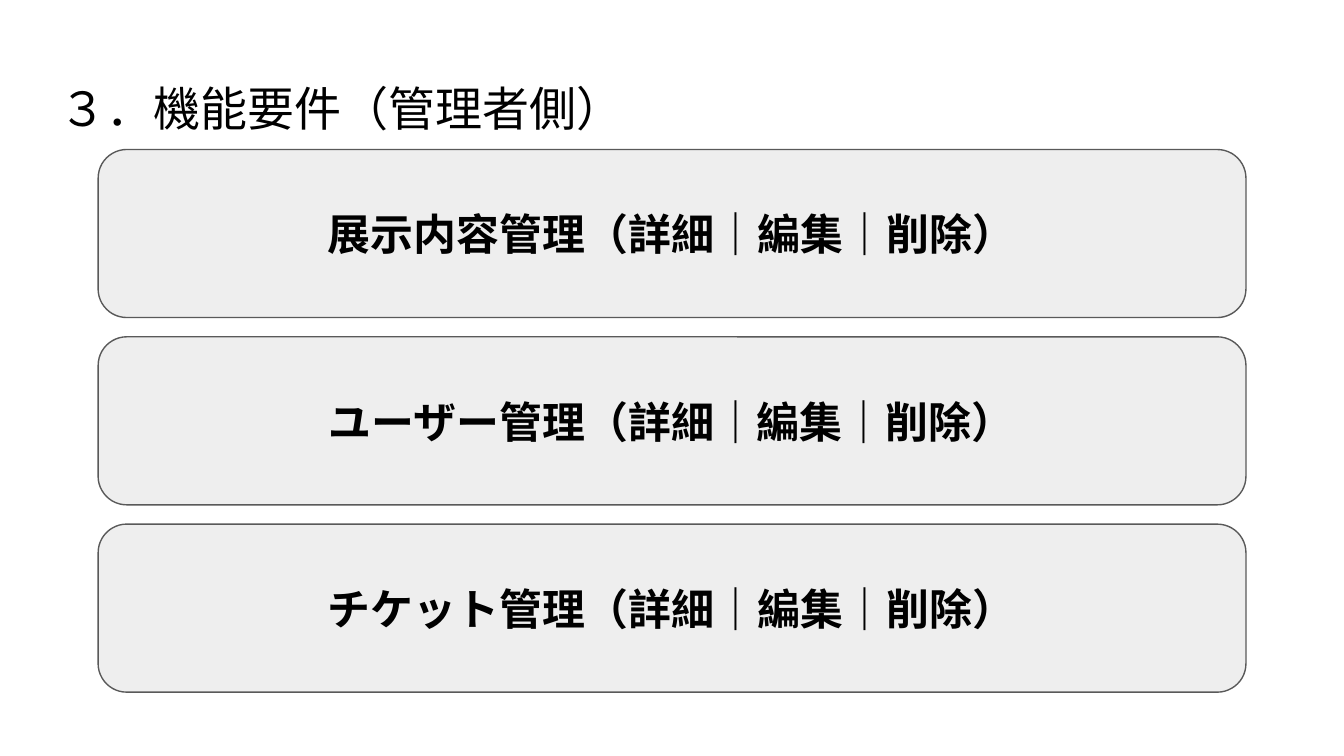
from dataclasses import dataclass

from pptx import Presentation
from pptx.dml.color import RGBColor
from pptx.enum.shapes import MSO_SHAPE
from pptx.enum.text import MSO_ANCHOR, MSO_AUTO_SIZE, PP_ALIGN
from pptx.slide import Slide
from pptx.text.text import TextFrame
from pptx.util import Pt

BLACK = RGBColor(0x00, 0x00, 0x00)
LIGHT_GRAY = RGBColor(0xEE, 0xEE, 0xEE)
DARK_GRAY = RGBColor(0x59, 0x59, 0x59)
FONT = "Arial"
INSET = 7.2
BOX_LEFT = 52.6
BOX_TOP = 80.1
BOX_WIDTH = 614.9
BOX_HEIGHT = 90
BOX_PITCH = 100.35


@dataclass(frozen=True)
class Feature:
    name: str
    top: float


def write_text(frame: TextFrame, text: str, size: float, bold: bool,
               alignment: PP_ALIGN, anchor: MSO_ANCHOR) -> None:
    frame.text = text
    frame.word_wrap = True
    frame.auto_size = MSO_AUTO_SIZE.NONE
    frame.vertical_anchor = anchor
    frame.margin_left = frame.margin_right = Pt(INSET)
    frame.margin_top = frame.margin_bottom = Pt(INSET)
    para = frame.paragraphs[0]
    para.alignment = alignment
    para.line_spacing = 1.0
    para.space_before = Pt(0)
    span = para.runs[0]
    span.font.name = FONT
    span.font.size = Pt(size)
    span.font.bold = bold
    span.font.color.rgb = BLACK


def place_title(page: Slide, text: str) -> None:
    title = page.shapes.title
    title.left, title.top = Pt(24.5), Pt(35.3)
    title.width, title.height = Pt(671), Pt(45.1)
    write_text(title.text_frame, text, 25.2, False, PP_ALIGN.LEFT, MSO_ANCHOR.TOP)


def draw_feature(page: Slide, feature: Feature) -> None:
    box = page.shapes.add_shape(
        MSO_SHAPE.ROUNDED_RECTANGLE,
        Pt(BOX_LEFT), Pt(feature.top), Pt(BOX_WIDTH), Pt(BOX_HEIGHT),
    )
    box.adjustments[0] = 0.17
    box.shadow.inherit = False
    box.fill.solid()
    box.fill.fore_color.rgb = LIGHT_GRAY
    box.line.color.rgb = DARK_GRAY
    box.line.width = Pt(0.75)
    write_text(box.text_frame, f"{feature.name}（詳細｜編集｜削除）", 23, True,
               PP_ALIGN.CENTER, MSO_ANCHOR.MIDDLE)


def main() -> None:
    deck = Presentation()
    deck.slide_width, deck.slide_height = Pt(720), Pt(405)
    page = deck.slides.add_slide(deck.slide_layouts.get_by_name("Title Only"))
    place_title(page, "３．機能要件（管理者側）")
    names = ("展示内容管理", "ユーザー管理", "チケット管理")
    for index, name in enumerate(names):
        draw_feature(page, Feature(name, BOX_TOP + index * BOX_PITCH))
    deck.save("out.pptx")


if __name__ == "__main__":
    main()
